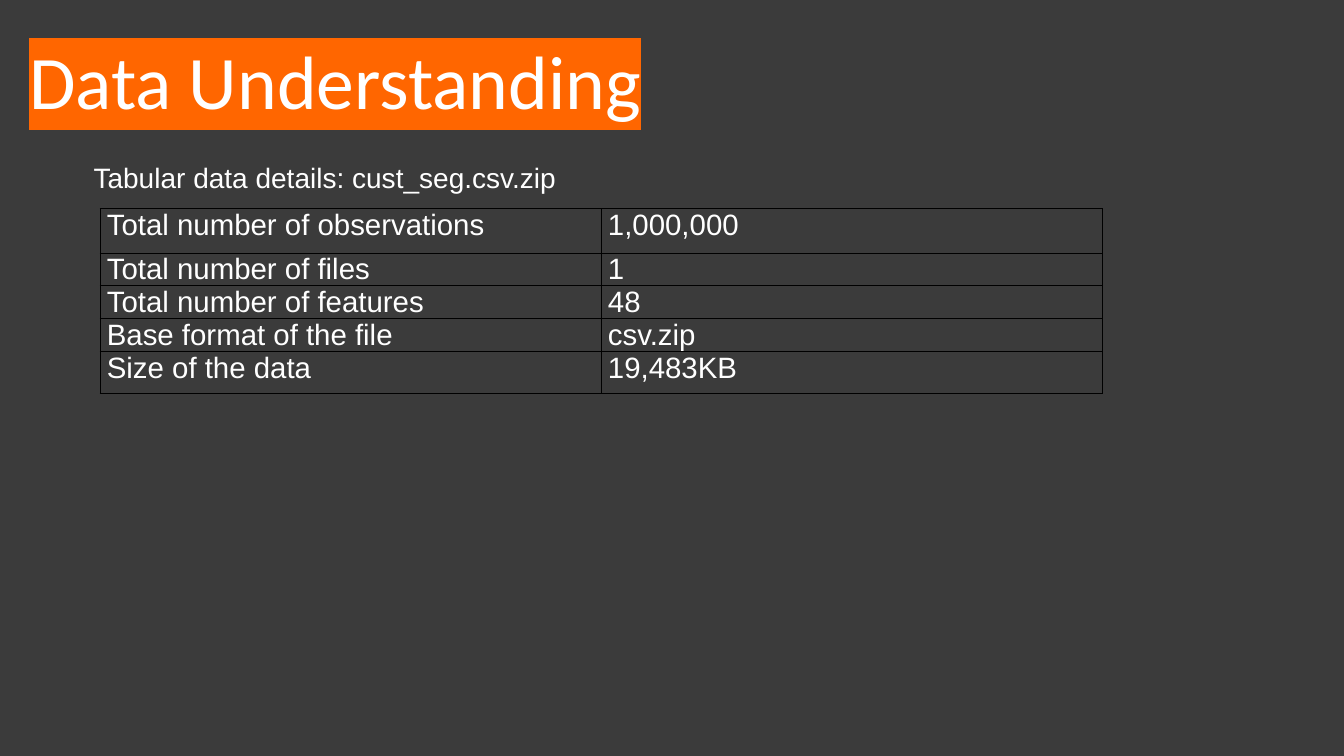
from lxml import etree
from pptx import Presentation
from pptx.dml.color import RGBColor
from pptx.enum.text import MSO_ANCHOR, MSO_AUTO_SIZE, PP_ALIGN
from pptx.oxml.ns import qn
from pptx.util import Inches, Pt

BACKGROUND = RGBColor(0x3B, 0x3B, 0x3B)
WHITE = RGBColor(0xFF, 0xFF, 0xFF)
ORANGE = RGBColor(0xFF, 0x66, 0x00)
BLACK = RGBColor(0x00, 0x00, 0x00)

LEFT = PP_ALIGN.LEFT
BOTTOM = MSO_ANCHOR.BOTTOM
MIDDLE = MSO_ANCHOR.MIDDLE
NO_AUTOFIT = MSO_AUTO_SIZE.NONE

TITLE_LAYOUT = 5
COLUMN_WIDTH = 4.97
ROW_HEIGHTS = [0.44, 0.2, 0.2, 0.2, 0.42]
DATA_DETAILS = [
    ("Total number of observations", "1,000,000"),
    ("Total number of files", "1"),
    ("Total number of features", "48"),
    ("Base format of the file", "csv.zip"),
    ("Size of the data", "19,483KB"),
]


def write_text(text_frame, text, font_name, size):
    """Set white, left-aligned text and return its run."""
    text_frame.text = text
    paragraph = text_frame.paragraphs[0]
    paragraph.alignment = LEFT
    run = paragraph.runs[0]
    run.font.name = font_name
    run.font.size = Pt(size)
    run.font.color.rgb = WHITE
    return run


def add_color(parent, color):
    etree.SubElement(parent, qn("a:srgbClr"), val=str(color))


def highlight(run, color):
    marker = etree.Element(qn("a:highlight"))
    add_color(marker, color)
    run.font._element.find(qn("a:solidFill")).addnext(marker)


def add_cell_borders(cell, color, width):
    properties = cell._tc.get_or_add_tcPr()
    for side in ("L", "R", "T", "B"):
        line = etree.SubElement(properties, qn(f"a:ln{side}"), w=str(Pt(width)))
        add_color(etree.SubElement(line, qn("a:solidFill")), color)


def format_title(slide, text):
    title = slide.shapes.title
    title.left, title.top = Inches(0.19), Inches(0.38)
    title.width, title.height = Inches(10), Inches(0.92)
    text_frame = title.text_frame
    text_frame.auto_size = NO_AUTOFIT
    text_frame.vertical_anchor = BOTTOM
    highlight(write_text(text_frame, text, "Calibri", 54), ORANGE)
    text_frame.paragraphs[0].line_spacing = 0.9


def add_details_table(slide):
    frame = slide.shapes.add_table(
        len(DATA_DETAILS), 2, Inches(0.99), Inches(2.07),
        Inches(2 * COLUMN_WIDTH), Inches(sum(ROW_HEIGHTS)))
    table = frame.table
    table.first_row = False
    table.horz_banding = False
    for column in table.columns:
        column.width = Inches(COLUMN_WIDTH)
    for row, height, texts in zip(table.rows, ROW_HEIGHTS, DATA_DETAILS):
        row.height = Inches(height)
        for cell, text in zip(row.cells, texts):
            cell.margin_left = cell.margin_right = Inches(0.07)
            cell.margin_top = cell.margin_bottom = Inches(0)
            add_cell_borders(cell, BLACK, 0.5)
            cell.fill.background()
            write_text(cell.text_frame, text, "Arial", 21)


def add_caption(slide, text):
    caption = slide.shapes.add_textbox(
        Inches(0.83), Inches(1.56), Inches(5.37), Inches(0.39))
    text_frame = caption.text_frame
    text_frame.word_wrap = True
    text_frame.vertical_anchor = MIDDLE
    text_frame.margin_top = text_frame.margin_bottom = Inches(0.1)
    write_text(text_frame, text, "Arial", 20)


def main():
    presentation = Presentation()
    presentation.slide_width = Inches(13.33)
    presentation.slide_height = Inches(7.5)
    slide = presentation.slides.add_slide(
        presentation.slide_layouts[TITLE_LAYOUT])
    background = slide.background.fill
    background.solid()
    background.fore_color.rgb = BACKGROUND
    format_title(slide, "Data Understanding")
    add_details_table(slide)
    add_caption(slide, "Tabular data details: cust_seg.csv.zip")
    presentation.save("out.pptx")


if __name__ == "__main__":
    main()
